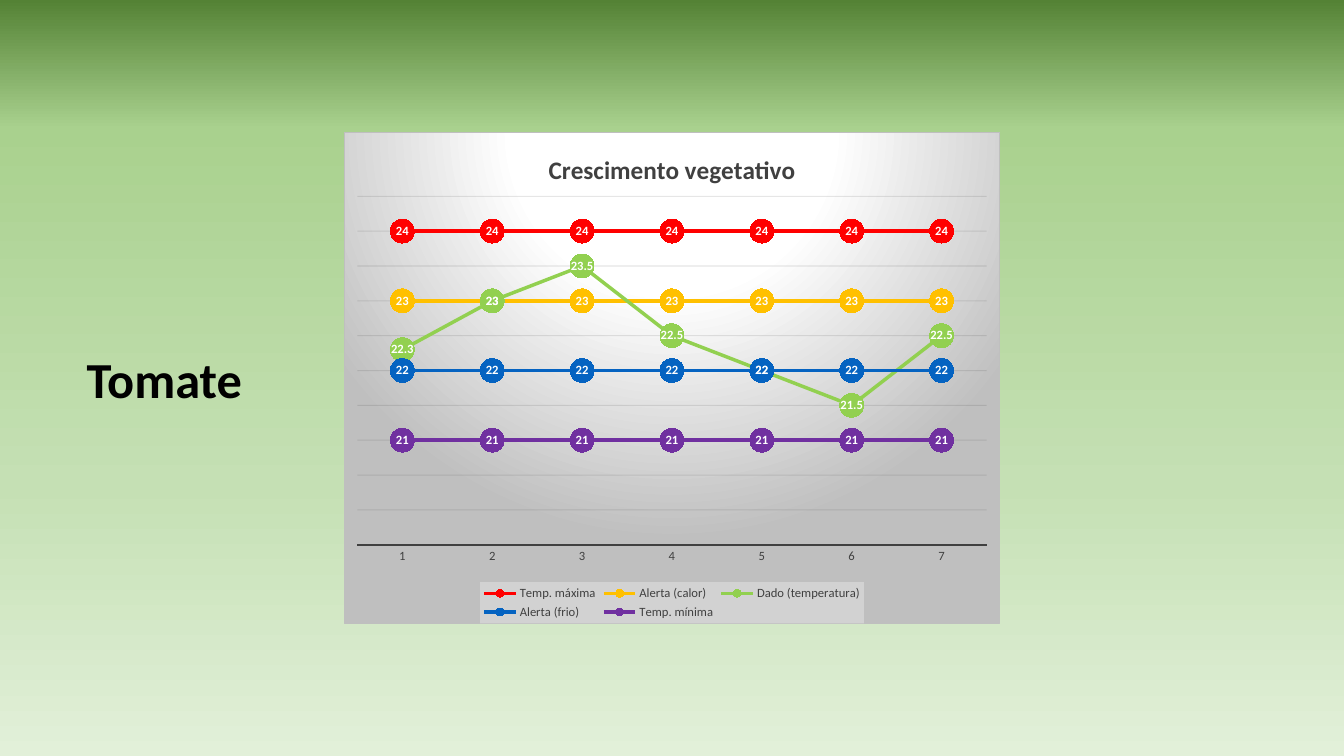
from lxml import etree
from pptx import Presentation
from pptx.chart.data import CategoryChartData
from pptx.dml.color import RGBColor
from pptx.enum.chart import (XL_CHART_TYPE, XL_LABEL_POSITION, XL_LEGEND_POSITION,
                             XL_MARKER_STYLE, XL_TICK_LABEL_POSITION, XL_TICK_MARK)
from pptx.enum.text import PP_ALIGN
from pptx.oxml import parse_xml
from pptx.oxml.ns import nsdecls, qn
from pptx.util import Inches, Pt

LINE_MARKERS = XL_CHART_TYPE.LINE_MARKERS
CENTER_LABEL = XL_LABEL_POSITION.CENTER
BOTTOM = XL_LEGEND_POSITION.BOTTOM
CIRCLE = XL_MARKER_STYLE.CIRCLE
NO_LABELS = XL_TICK_LABEL_POSITION.NONE
NO_TICK = XL_TICK_MARK.NONE
CENTER = PP_ALIGN.CENTER

FONT = "Calibri"
BLACK = RGBColor(0x00, 0x00, 0x00)
WHITE = RGBColor(0xFF, 0xFF, 0xFF)
DARK = RGBColor(0x40, 0x40, 0x40)
GRID = RGBColor(0x0D, 0x0D, 0x0D)
SILVER = RGBColor(0xBF, 0xBF, 0xBF)
PALE = RGBColor(0xF2, 0xF2, 0xF2)
RED = RGBColor(0xFF, 0x00, 0x00)
AMBER = RGBColor(0xFF, 0xC0, 0x00)
GREEN = RGBColor(0x92, 0xD0, 0x50)
BLUE = RGBColor(0x05, 0x63, 0xC1)
PURPLE = RGBColor(0x70, 0x30, 0xA0)
BACKDROP = [(0, RGBColor(0xE2, 0xF0, 0xD9)), (36, RGBColor(0xC5, 0xE0, 0xB4)),
            (83, RGBColor(0xA9, 0xD1, 0x8E)), (100, RGBColor(0x54, 0x82, 0x35))]
SPOTLIGHT = [(0, WHITE), (39, WHITE), (100, SILVER)]

DAYS = 7
SERIES = [
    ("Temp. máxima", [24] * DAYS, RED),
    ("Alerta (calor)", [23] * DAYS, AMBER),
    ("Dado (temperatura)", [22.3, 23, 23.5, 22.5, 22, 21.5, 22.5], GREEN),
    ("Alerta (frio)", [22] * DAYS, BLUE),
    ("Temp. mínima", [21] * DAYS, PURPLE),
]


def gradient(stops, direction):
    gs = "".join(f'<a:gs pos="{pos * 1000}"><a:srgbClr val="{color}"/></a:gs>'
                 for pos, color in stops)
    return (f'<a:gradFill {nsdecls("a")} rotWithShape="1"><a:gsLst>{gs}</a:gsLst>'
            f'{direction}</a:gradFill>')


def set_alpha(element, percent):
    for color in element.iter(qn("a:srgbClr")):
        etree.SubElement(color, qn("a:alpha")).set("val", str(percent * 1000))


def style_font(font, size, color, bold=False):
    font.name, font.size, font.bold = FONT, Pt(size), bold
    font.color.rgb = color


def add_background(slide):
    fill = slide.background.fill
    fill.solid()
    solid = slide.element.find(".//" + qn("a:solidFill"))
    direction = '<a:lin ang="16200000" scaled="0"/>'
    solid.getparent().replace(solid, parse_xml(gradient(BACKDROP, direction)))


def add_crop_name(slide, x, y, w, h):
    tf = slide.shapes.add_textbox(x, y, w, h).text_frame
    tf.word_wrap = False
    p = tf.paragraphs[0]
    p.text = "Tomate"
    p.alignment = CENTER
    style_font(p.font, 36, BLACK, True)


def style_axes(chart):
    cat = chart.category_axis
    cat.major_tick_mark = cat.minor_tick_mark = NO_TICK
    style_font(cat.tick_labels.font, 9, DARK)
    cat.format.line.color.rgb = DARK
    cat.format.line.width = Pt(1.5)

    val = chart.value_axis
    val.minimum_scale, val.maximum_scale, val.major_unit = 19.5, 24.5, 0.5
    val.tick_label_position = NO_LABELS
    val.visible = False
    grid = val.major_gridlines.format.line
    grid.color.rgb = GRID
    grid.width = Pt(0.75)
    set_alpha(chart.element.find(".//" + qn("c:majorGridlines")), 10)


def style_series(plot):
    for s, (_, _, color) in zip(plot.series, SERIES):
        s.smooth = False
        s.format.line.color.rgb = color
        s.format.line.width = Pt(2.5)
        s.marker.style, s.marker.size = CIRCLE, 17
        s.marker.format.fill.solid()
        s.marker.format.fill.fore_color.rgb = color
        s.marker.format.line.fill.background()
        labels = s.data_labels
        labels.show_value = True
        labels.position = CENTER_LABEL
        style_font(labels.font, 9, WHITE, True)


def style_frame(chart):
    # Chart area: spotlight gradient and thin border
    direction = ('<a:path path="circle"><a:fillToRect l="50000" t="-80000" '
                 'r="50000" b="180000"/></a:path>')
    area = parse_xml(
        f'<c:spPr {nsdecls("c", "a")}>{gradient(SPOTLIGHT, direction)}'
        f'<a:ln w="{Pt(0.75)}"><a:solidFill><a:srgbClr val="{SILVER}"/></a:solidFill></a:ln></c:spPr>')
    chart.element.find(qn("c:txPr")).addprevious(area)

    # Inner plot area, as fractions of the chart
    layout = parse_xml(
        f'<c:layout {nsdecls("c")}><c:manualLayout><c:layoutTarget val="inner"/>'
        '<c:xMode val="edge"/><c:yMode val="edge"/><c:x val="0.02"/><c:y val="0.13"/>'
        '<c:w val="0.96"/><c:h val="0.71"/></c:manualLayout></c:layout>')
    plot_area = chart.element.find(".//" + qn("c:plotArea"))
    for old in plot_area.findall(qn("c:layout")):
        plot_area.remove(old)
    plot_area.insert(0, layout)

    # Legend: translucent panel
    chart.has_legend = True
    legend = chart.legend
    legend.position = BOTTOM
    legend.include_in_layout = False
    style_font(legend.font, 9, DARK)
    panel = parse_xml(
        f'<c:spPr {nsdecls("c", "a")}><a:solidFill><a:srgbClr val="{PALE}"/>'
        '</a:solidFill></c:spPr>')
    set_alpha(panel, 39)
    legend_text = chart.element.find(f'.//{qn("c:legend")}/{qn("c:txPr")}')
    legend_text.addprevious(panel)


def add_temperature_chart(slide, x, y, w, h):
    data = CategoryChartData()
    data.categories = [str(day) for day in range(1, DAYS + 1)]
    for name, values, _ in SERIES:
        data.add_series(name, values)
    chart = slide.shapes.add_chart(LINE_MARKERS, x, y, w, h, data).chart
    style_font(chart.font, 10, BLACK)

    chart.has_title = True
    p = chart.chart_title.text_frame.paragraphs[0]
    p.text = "Crescimento vegetativo"
    style_font(p.font, 18, DARK, True)

    chart.plots[0].vary_by_categories = False
    style_axes(chart)
    style_series(chart.plots[0])
    style_frame(chart)


def main():
    prs = Presentation()
    prs.slide_width, prs.slide_height = Inches(13.33), Inches(7.5)
    slide = prs.slides.add_slide(prs.slide_layouts[6])
    add_background(slide)
    add_crop_name(slide, Inches(0.75), Inches(3.4), Inches(1.76), Inches(0.71))
    add_temperature_chart(slide, Inches(3.41), Inches(1.31), Inches(6.51), Inches(4.88))
    prs.save("out.pptx")


if __name__ == "__main__":
    main()
